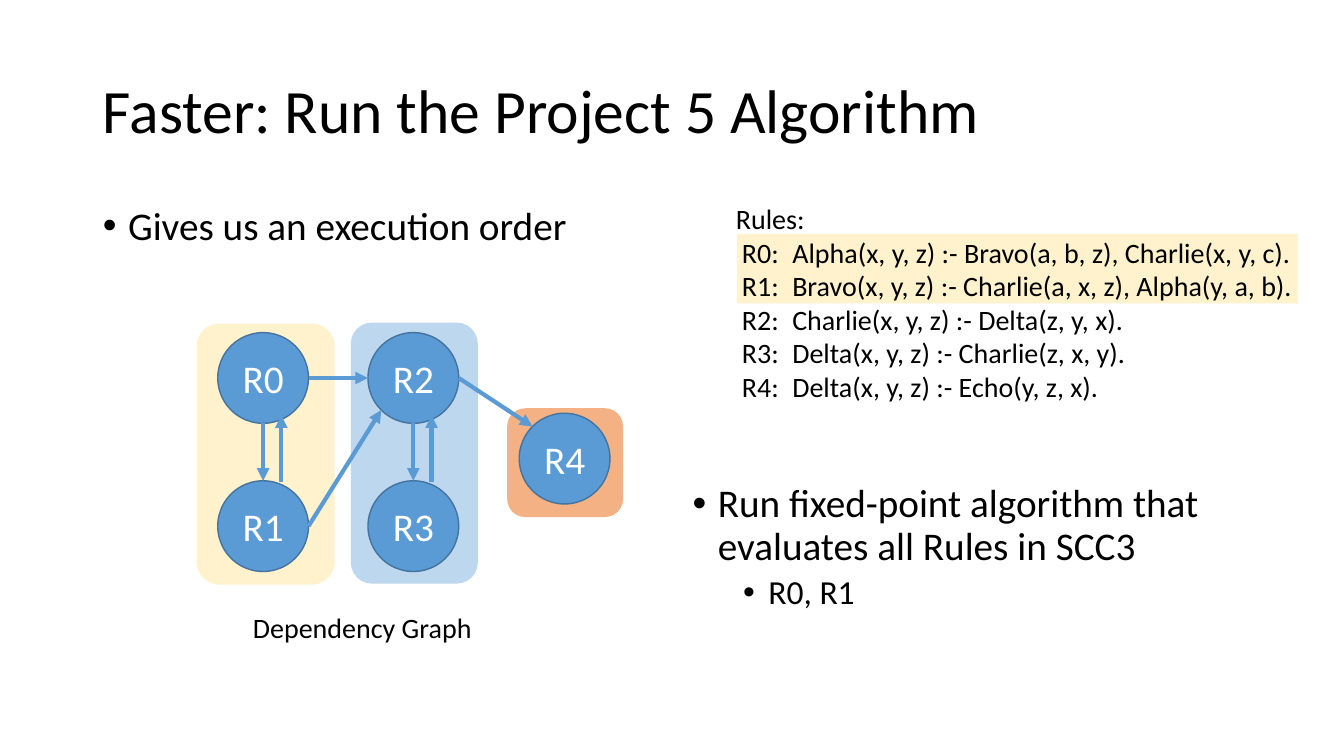
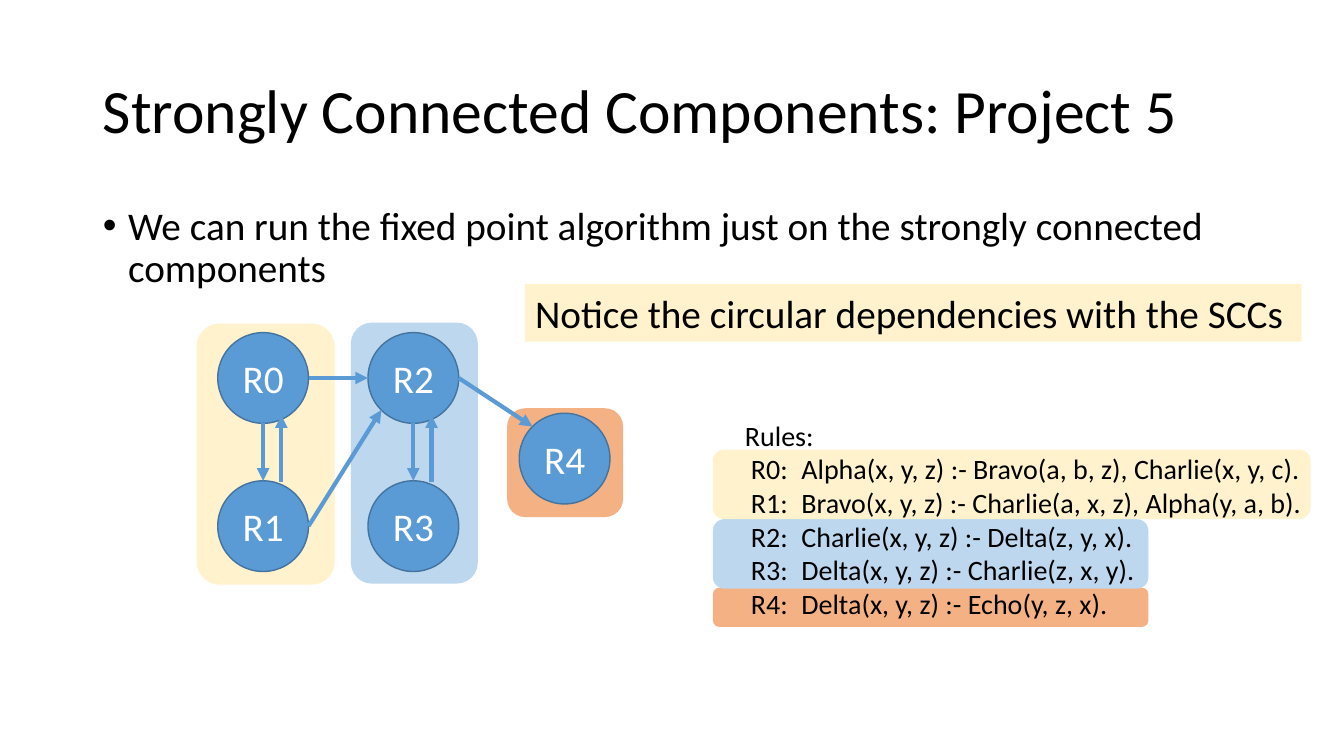
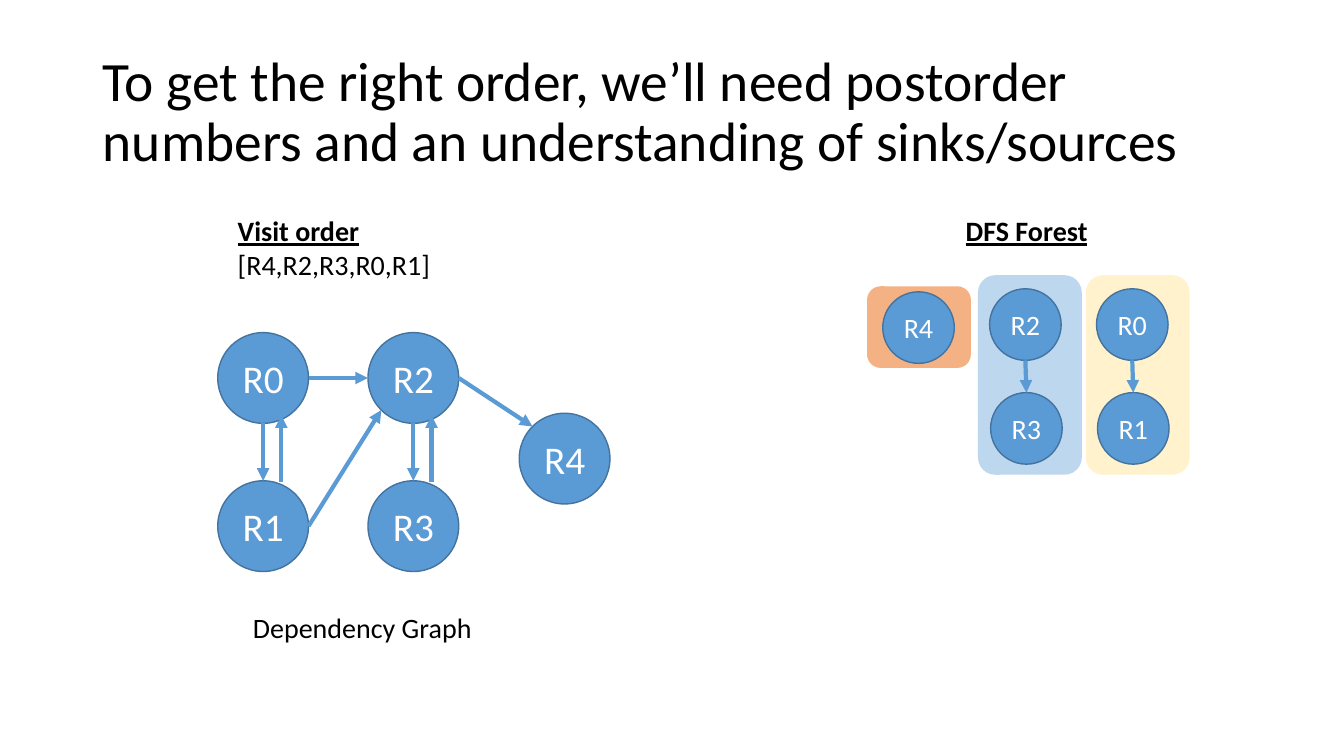
import math

import pptx
import pptx.dml.color
import pptx.enum.shapes
import pptx.enum.text
import pptx.oxml
import pptx.oxml.ns
import pptx.util

Inches = pptx.util.Inches
Pt = pptx.util.Pt
SHAPES = pptx.enum.shapes.MSO_SHAPE
ANCHOR = pptx.enum.text.MSO_ANCHOR
ALIGN = pptx.enum.text.PP_ALIGN

COLORS = {
    "text": "000000",
    "white": "FFFFFF",
    "node": "5B9BD5",
    "node_line": "43739E",
    "yellow": "FFF2CC",
    "blue": "BDD7EE",
    "orange": "F4B183",
}
FONT = "Calibri"

RULES = [
    "R0:\tAlpha(x, y, z) :- Bravo(a, b, z), Charlie(x, y, c).",
    "R1:\tBravo(x, y, z) :- Charlie(a, x, z), Alpha(y, a, b).",
    "R2:\tCharlie(x, y, z) :- Delta(z, y, x).",
    "R3:\tDelta(x, y, z) :- Charlie(z, x, y).",
    "R4:\tDelta(x, y, z) :- Echo(y, z, x).",
]

# Layout numbers in the default template
TITLE_AND_CONTENT, TWO_CONTENT, TITLE_ONLY = 1, 3, 5


def color(name):
    return pptx.dml.color.RGBColor.from_string(COLORS[name])


def rim(center, radius, degrees):
    """Point on a circle; 0 is right and 90 is down."""
    angle = math.radians(degrees)
    return (center[0] + radius * math.cos(angle),
            center[1] + radius * math.sin(angle))


class Deck:
    def __init__(self):
        self.file = pptx.Presentation()
        self.file.slide_width = Inches(13.33)
        self.file.slide_height = Inches(7.5)
        self.page = None

    def add_page(self, layout, title, size=44):
        self.page = self.file.slides.add_slide(self.file.slide_layouts[layout])
        box = self.page.shapes.title
        self.place(box, 0.92, 0.4, 11.5, 1.45)
        frame = box.text_frame
        frame.text = title
        frame.vertical_anchor = ANCHOR.MIDDLE
        frame.auto_size = pptx.enum.text.MSO_AUTO_SIZE.NONE
        frame.paragraphs[0].line_spacing = 0.9
        self.style(frame.paragraphs[0], size)

    def place(self, box, left, top, width, height):
        box.left, box.top = Inches(left), Inches(top)
        box.width, box.height = Inches(width), Inches(height)

    def style(self, para, size, tint="text", align=ALIGN.LEFT, heading=False):
        para.alignment = align
        for span in para.runs:
            span.font.name = FONT
            span.font.size = Pt(size)
            span.font.color.rgb = color(tint)
            if heading:
                span.font.bold = True
                span.font.underline = True

    def indent(self, para, left, first):
        props = para._p.get_or_add_pPr()
        props.set("marL", str(Inches(left)))
        props.set("indent", str(Inches(first)))
        return props

    def bullets(self, slot, left, top, width, height, items):
        """Fill a body placeholder with (level, text) items."""
        box = self.page.placeholders[slot]
        self.place(box, left, top, width, height)
        frame = box.text_frame
        frame.text = "\n".join(text for _, text in items)
        frame.vertical_anchor = ANCHOR.TOP
        frame.auto_size = pptx.enum.text.MSO_AUTO_SIZE.NONE
        for number, (para, (level, _)) in enumerate(zip(frame.paragraphs, items)):
            para.level = level
            props = self.indent(para, 0.25 + 0.5 * level, -0.25)
            for tag, key, value in (("a:buFont", "typeface", "Arial"),
                                    ("a:buChar", "char", "•")):
                mark = pptx.oxml.xmlchemy.OxmlElement(tag)
                mark.set(key, value)
                props.append(mark)
            para.line_spacing = 0.9
            para.space_before = Pt((10, 5)[level] if number else 0)
            self.style(para, (28, 24)[level])

    def text(self, left, top, width, height, lines, heading=False):
        box = self.page.shapes.add_textbox(
            Inches(left), Inches(top), Inches(width), Inches(height))
        frame = box.text_frame
        frame.word_wrap = True
        frame.text = "\n".join(lines)
        for number, para in enumerate(frame.paragraphs):
            self.style(para, 20, heading=heading and number == 0)
        return frame

    def rules(self, left, top):
        frame = self.text(left, top, 5.9, 2.2, ["Rules:"] + RULES)
        for para in frame.paragraphs[1:]:
            self.indent(para, 0.56, -0.5)

    def band(self, left, top, width, height, fill, kind=SHAPES.ROUNDED_RECTANGLE):
        box = self.page.shapes.add_shape(
            kind, Inches(left), Inches(top), Inches(width), Inches(height))
        box.shadow.inherit = False
        box.fill.solid()
        box.fill.fore_color.rgb = color(fill)
        box.line.fill.background()
        return box

    def note(self, left, top, width, height, words):
        frame = self.band(left, top, width, height, "yellow", SHAPES.RECTANGLE).text_frame
        frame.word_wrap = True
        frame.vertical_anchor = ANCHOR.TOP
        frame.text = words
        self.style(frame.paragraphs[0], 28)

    def node(self, name, center, radius, size):
        circle = self.band(center[0] - radius, center[1] - radius,
                           2 * radius, 2 * radius, "node", SHAPES.OVAL)
        circle.line.color.rgb = color("node_line")
        circle.line.width = Pt(1)
        frame = circle.text_frame
        frame.margin_left = frame.margin_right = 0
        frame.vertical_anchor = ANCHOR.MIDDLE
        frame.text = name
        self.style(frame.paragraphs[0], size, "white", ALIGN.CENTER)

    def arrow(self, start, end):
        line = self.page.shapes.add_connector(
            pptx.enum.shapes.MSO_CONNECTOR.STRAIGHT,
            *(Inches(value) for value in (*start, *end)))
        line.line.color.rgb = color("node")
        line.line.width = Pt(3)
        head = pptx.oxml.xmlchemy.OxmlElement("a:tailEnd")
        head.set("type", "triangle")
        line.line._get_or_add_ln().append(head)
        line._element.spPr.append(pptx.oxml.xmlchemy.OxmlElement("a:effectLst"))

    def dependency_graph(self, bands=True, caption=True):
        if bands:
            self.band(5.03, 4.05, 1.15, 1.08, "orange")
            self.band(3.48, 3.2, 1.26, 2.59, "blue")
            self.band(1.95, 3.21, 1.37, 2.59, "yellow")
        if caption:
            self.text(2.41, 6.01, 2.5, 0.44, ["Dependency Graph"])
        radius = 0.45
        centers = {"R0": (2.61, 3.75), "R1": (2.61, 5.22), "R2": (4.1, 3.75),
                   "R3": (4.1, 5.22), "R4": (5.6, 4.55)}
        for name, center in centers.items():
            self.node(name, center, radius, 28)
        # Arrows across: start node and angle, end node and angle
        for start, leave, end, arrive in (("R0", 0, "R2", 180),
                                          ("R1", 0, "R2", 135),
                                          ("R2", 0, "R4", 225)):
            self.arrow(rim(centers[start], radius, leave),
                       rim(centers[end], radius, arrive))
        # Pairs of arrows down and back up
        for upper, lower in (("R0", "R1"), ("R2", "R3")):
            self.arrow(rim(centers[upper], radius, 90),
                       rim(centers[lower], radius, 270))
            back = centers[upper][0] + 0.18
            self.arrow((back, 4.78), (back, 4.12))

    def forest(self):
        radius = 0.355
        trees = [
            (8.6, 2.84, 0.81, "orange", [("R4", (9.11, 3.25))]),
            (9.7, 2.73, 1.98, "blue", [("R2", (10.17, 3.22)), ("R3", (10.18, 4.25))]),
            (10.77, 2.73, 1.98, "yellow", [("R0", (11.23, 3.22)), ("R1", (11.24, 4.25))]),
        ]
        for left, top, height, fill, members in trees:
            self.band(left, top, 1.03, height, fill)
            for name, center in members:
                self.node(name, center, radius, 20)
            for (_, parent), (_, child) in zip(members, members[1:]):
                self.arrow(rim(parent, radius, 90), rim(child, radius, 270))


def main():
    deck = Deck()

    # Execution order
    deck.add_page(TWO_CONTENT, "Faster: Run the Project 5 Algorithm")
    deck.bullets(1, 0.92, 2, 5.53, 4.76, [(0, "Gives us an execution order")])
    deck.bullets(2, 6.77, 4.75, 5.53, 1.77, [
        (0, "Run fixed-point algorithm that evaluates all Rules in SCC3"),
        (1, "R0, R1"),
    ])
    deck.band(7.31, 2.32, 5.56, 0.69, "yellow", SHAPES.RECTANGLE)
    deck.rules(7.2, 1.95)
    deck.dependency_graph()

    # Strongly connected components
    deck.add_page(TITLE_AND_CONTENT, "Strongly Connected Components: Project 5")
    deck.bullets(1, 0.92, 2, 11.5, 4.76, [
        (0, "We can run the fixed point algorithm just on the strongly "
            "connected components"),
    ])
    for top, width, height, fill in ((5.83, 4.32, 0.39, "orange"),
                                     (5.15, 4.32, 0.69, "blue"),
                                     (4.46, 5.93, 0.69, "yellow")):
        deck.band(7.07, top, width, height, fill)
    deck.rules(7.29, 4.1)
    deck.note(5.21, 2.82, 7.7, 0.57, "Notice the circular dependencies with the SCCs")
    deck.dependency_graph(caption=False)

    # Postorder and the search forest
    deck.add_page(TITLE_ONLY, "To get the right order, we’ll need postorder numbers "
                  "and an understanding of sinks/sources", 39.6)
    deck.text(2.26, 2.07, 2.3, 0.77, ["Visit order", "[R4,R2,R3,R0,R1]"], heading=True)
    deck.text(9.48, 2.07, 1.6, 0.44, ["DFS Forest"], heading=True)
    deck.dependency_graph(bands=False)
    deck.forest()

    deck.file.save("out.pptx")


if __name__ == "__main__":
    main()
